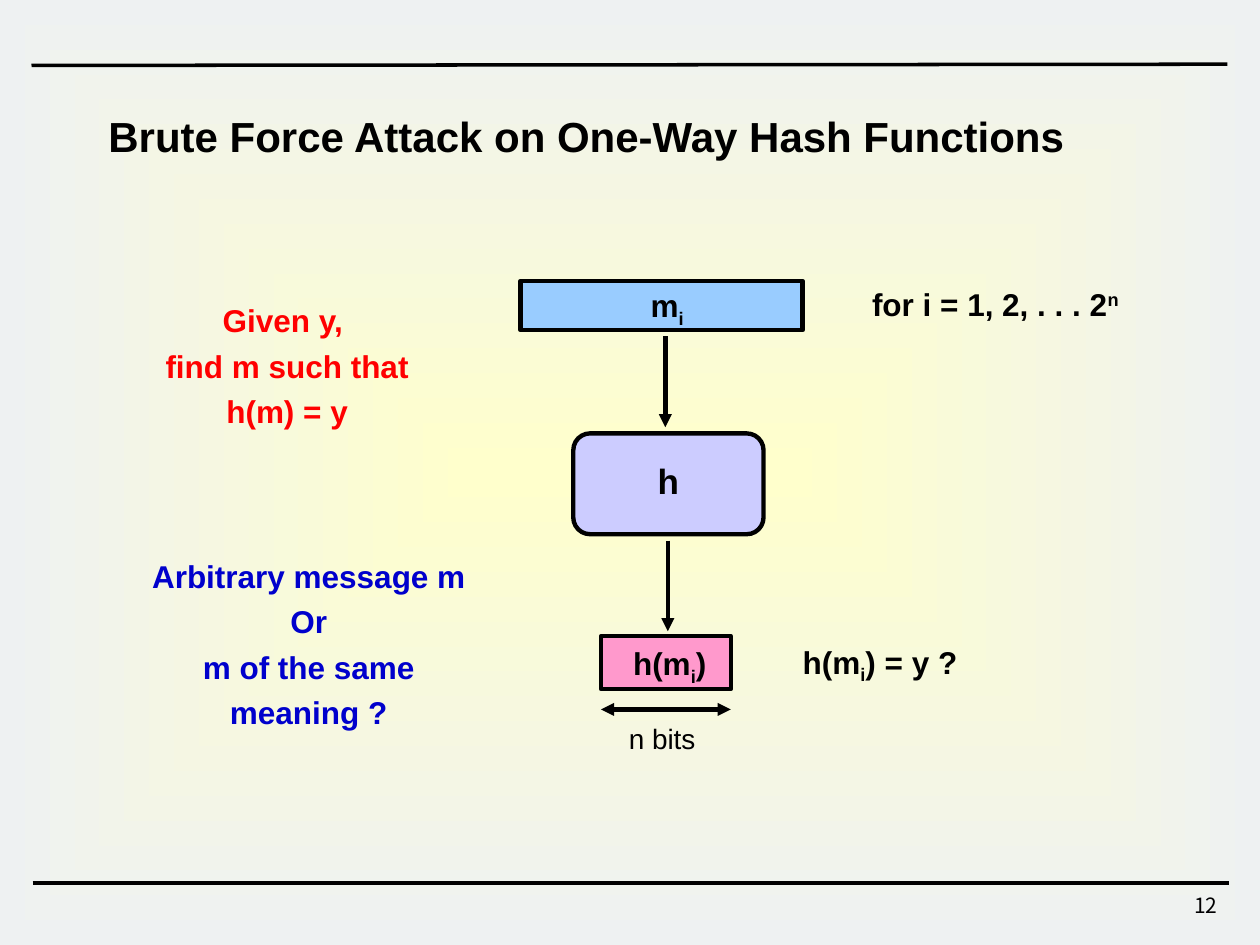
from dataclasses import dataclass

from lxml import etree
from pptx import Presentation
from pptx.dml.color import RGBColor
from pptx.enum.shapes import MSO_CONNECTOR, MSO_SHAPE
from pptx.enum.text import MSO_ANCHOR, PP_ALIGN
from pptx.oxml.ns import qn
from pptx.util import Pt

STRAIGHT = MSO_CONNECTOR.STRAIGHT
RECTANGLE, ROUNDED = MSO_SHAPE.RECTANGLE, MSO_SHAPE.ROUNDED_RECTANGLE
TOP, CENTER, RIGHT = MSO_ANCHOR.TOP, PP_ALIGN.CENTER, PP_ALIGN.RIGHT
TITLE_ONLY = 5
SUBSCRIPT, SUPERSCRIPT = "-25000", "30000"
COLORS = {
    "black": "000000", "red": "FF0000", "blue": "0000CC",
    "message": "99CCFF", "function": "CCCCFF", "digest": "FF99CC",
    "center": "FFFFCC", "edge": "EEF1F2",
}


@dataclass
class Block:
    kind: int
    box: tuple
    color: str


@dataclass
class Line:
    start: tuple
    end: tuple
    width: float = 2.5
    head: bool = False
    tail: bool = False


@dataclass
class Label:
    box: tuple
    paragraphs: list  # each a list of (text, baseline) runs
    size: float = 18
    color: str = "black"
    bold: bool = True
    wrap: bool = False
    spacing: float = 1.0
    align: int = CENTER
    font: str = "Arial"


BLOCKS = [
    Block(RECTANGLE, (297.4, 160.6, 161.3, 28.1), "message"),
    Block(RECTANGLE, (343.4, 363.6, 74.2, 30.2), "digest"),
    Block(ROUNDED, (327.6, 247.7, 108.7, 57.6), "function"),
]
LINES = [
    Line((18, 37.4), (701.3, 36.7), 2),
    Line((18.7, 504.7), (702, 504.7), 2),
    Line((380.2, 192.2), (380.2, 244.1), tail=True),
    Line((381.6, 308.9), (381.6, 360.7), tail=True),
    Line((343.4, 405.4), (417.6, 405.4), head=True, tail=True),
]
LABELS = [
    Label((375.8, 262.8, 12.2, 23.8), [[("h", None)]], size=20),
    Label((371.5, 163.4, 19.4, 21.6), [[("m", None), ("i", SUBSCRIPT)]]),
    Label((359.3, 367.9, 46.8, 21.6),
          [[("h(m", None), ("i", SUBSCRIPT), (") ", None)]]),
    Label((77, 167.8, 174.2, 77.8),
          [[("Given y, ", None)], [("find m such that h(m) = y", None)]],
          color="red", wrap=True, spacing=1.2),
    Label((359.3, 412.6, 38.2, 19.4), [[("n bits", None)]], size=16, bold=False),
    Label((458.6, 367.2, 88.6, 21.6),
          [[("h(m", None), ("i", SUBSCRIPT), (") = y ?", None)]]),
    Label((496.8, 162.7, 146.9, 21.6),
          [[("for i = 1, 2, . . . 2", None), ("n ", SUPERSCRIPT)]]),
    Label((69.1, 313.9, 214.6, 77.8),
          [[("Arbitrary message m", None)], [("Or", None)],
           [("m of the same meaning ?", None)]],
          color="blue", wrap=True, spacing=1.2),
    Label((553, 509.8, 142.6, 16.6), [[("12", None)]], size=12, bold=False,
          align=RIGHT, font="Noto Sans CJK KR", wrap=True),
]


def points(values: tuple) -> list:
    return [Pt(value) for value in values]


def rgb(name: str) -> RGBColor:
    return RGBColor.from_string(COLORS[name])


def paint_background(slide) -> None:
    fill = slide.background.fill
    fill.gradient()
    for stop, name in zip(fill.gradient_stops, ("center", "edge")):
        stop.color.rgb = rgb(name)
    # Radiate from the middle instead of running along a line
    gradient = slide.element.find(".//" + qn("a:gradFill"))
    linear = gradient.find(qn("a:lin"))
    radial = etree.Element(qn("a:path"), {"path": "shape"})
    etree.SubElement(radial, qn("a:fillToRect"),
                     {side: "50000" for side in "ltrb"})
    gradient.replace(linear, radial)


def format_font(font, label: Label) -> None:
    font.name, font.size, font.bold = label.font, Pt(label.size), label.bold
    font.color.rgb = rgb(label.color)


def add_title(slide, text: str) -> None:
    title = slide.shapes.title
    title.left, title.top, title.width, title.height = points((54, 59.8, 568.8, 36))
    frame = title.text_frame
    frame.text = text
    frame.word_wrap = False
    frame.vertical_anchor = TOP
    paragraph = frame.paragraphs[0]
    paragraph.alignment = CENTER
    format_font(paragraph.runs[0].font, Label((), [], size=24))


def add_block(slide, block: Block) -> None:
    shape = slide.shapes.add_shape(block.kind, *points(block.box))
    shape.shadow.inherit = False
    shape.fill.solid()
    shape.fill.fore_color.rgb = rgb(block.color)
    shape.line.color.rgb = rgb("black")
    shape.line.width = Pt(2.5)


def add_line(slide, line: Line) -> None:
    connector = slide.shapes.add_connector(STRAIGHT, *points(line.start + line.end))
    connector.line.color.rgb = rgb("black")
    connector.line.width = Pt(line.width)
    properties = connector.element.spPr
    outline = properties.find(qn("a:ln"))
    for tag, wanted in (("a:headEnd", line.head), ("a:tailEnd", line.tail)):
        if wanted:
            etree.SubElement(outline, qn(tag), {"type": "triangle"})
    etree.SubElement(properties, qn("a:effectLst"))


def add_label(slide, label: Label) -> None:
    frame = slide.shapes.add_textbox(*points(label.box)).text_frame
    frame.word_wrap = label.wrap
    frame.margin_left = frame.margin_right = 0
    frame.margin_top = frame.margin_bottom = 0
    for index, runs in enumerate(label.paragraphs):
        paragraph = frame.add_paragraph() if index else frame.paragraphs[0]
        paragraph.alignment = label.align
        paragraph.line_spacing = label.spacing
        for text, baseline in runs:
            run = paragraph.add_run()
            run.text = text
            format_font(run.font, label)
            if baseline:
                run._r.get_or_add_rPr().set("baseline", baseline)


def main() -> None:
    presentation = Presentation()
    presentation.slide_width, presentation.slide_height = Pt(720), Pt(540)
    slide = presentation.slides.add_slide(presentation.slide_layouts[TITLE_ONLY])

    paint_background(slide)
    add_title(slide, "Brute Force Attack on One-Way Hash Functions ")

    # Hash diagram, rules and arrows, then the wording on top
    for block in BLOCKS:
        add_block(slide, block)
    for line in LINES:
        add_line(slide, line)
    for label in LABELS:
        add_label(slide, label)

    presentation.save("out.pptx")


if __name__ == "__main__":
    main()
